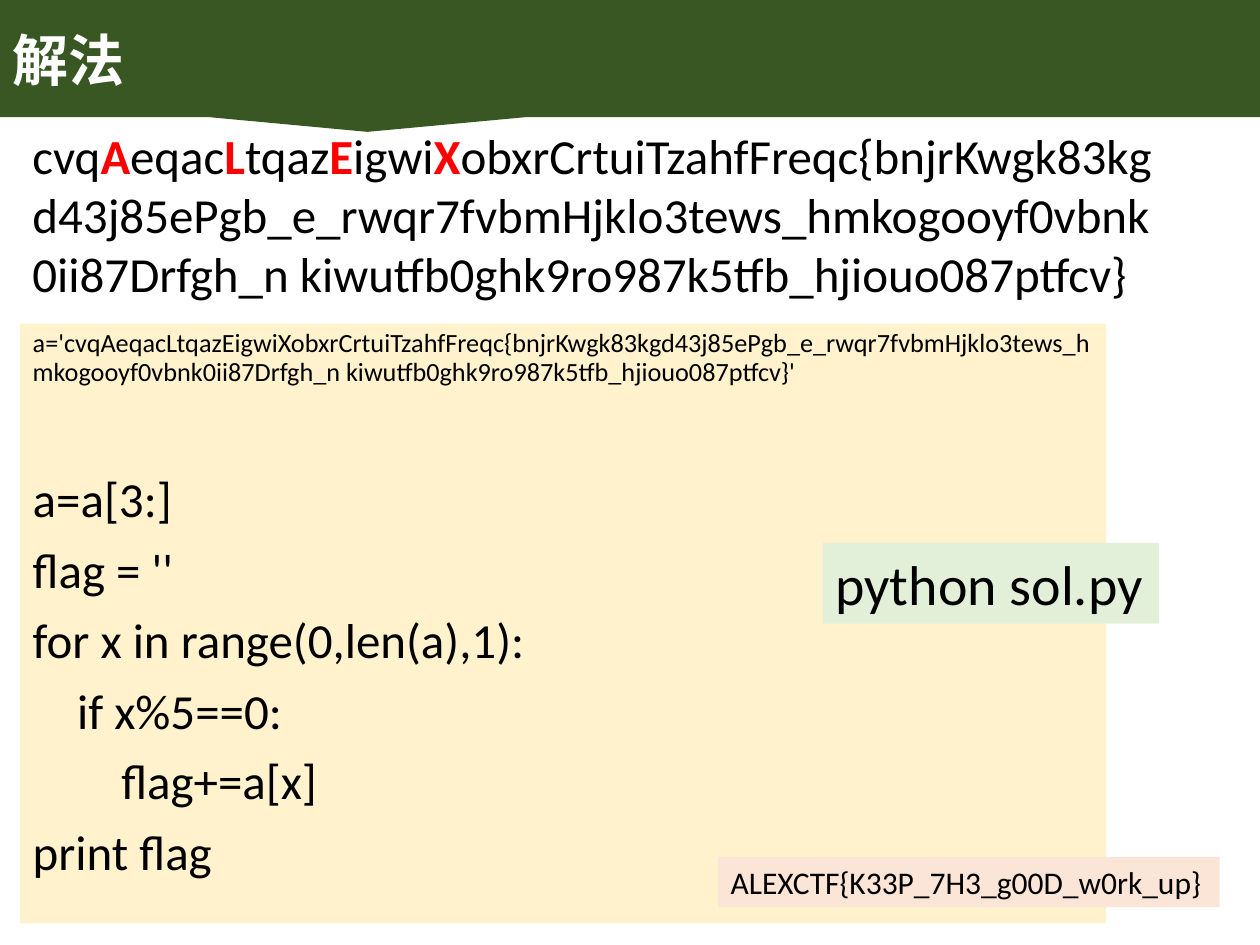
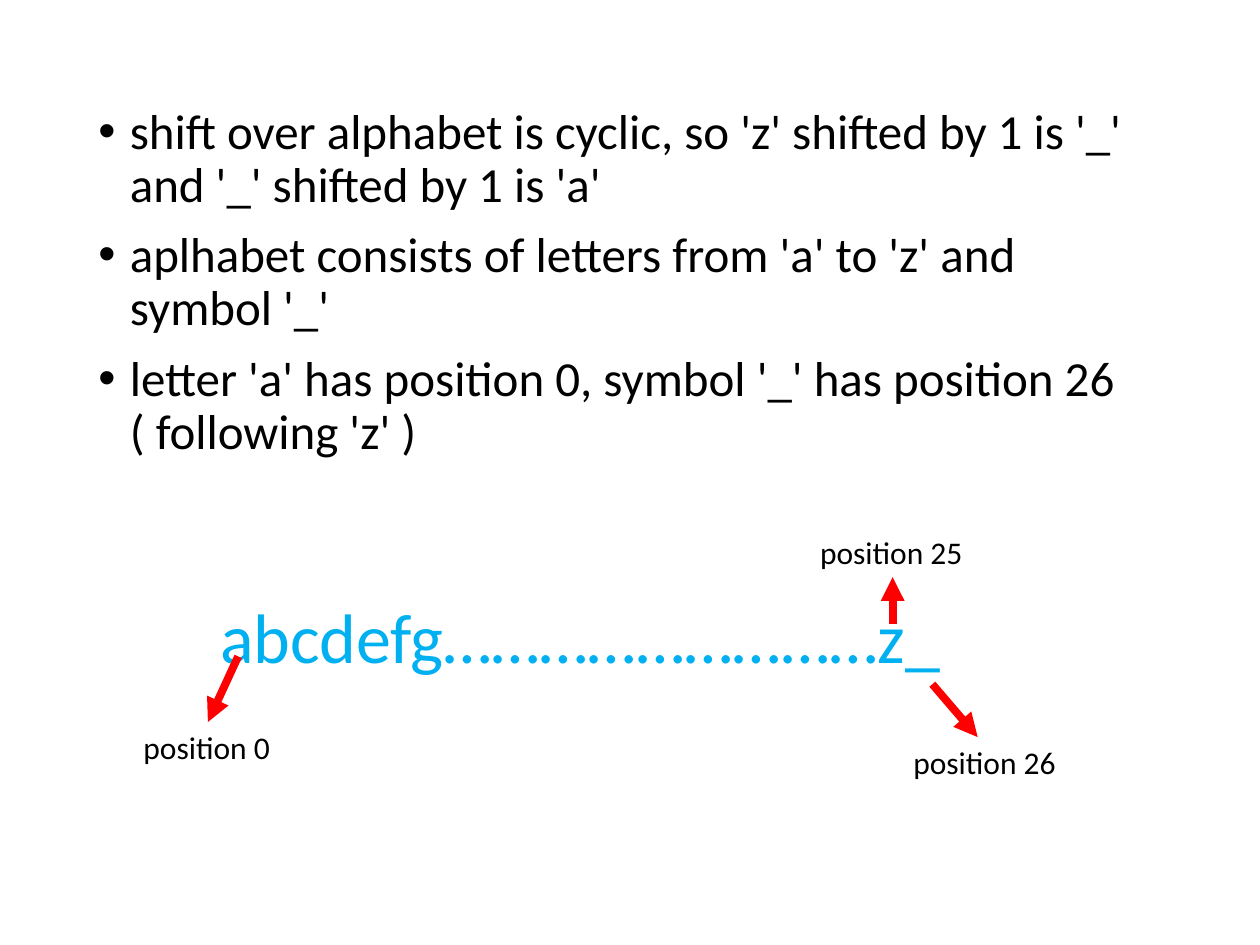
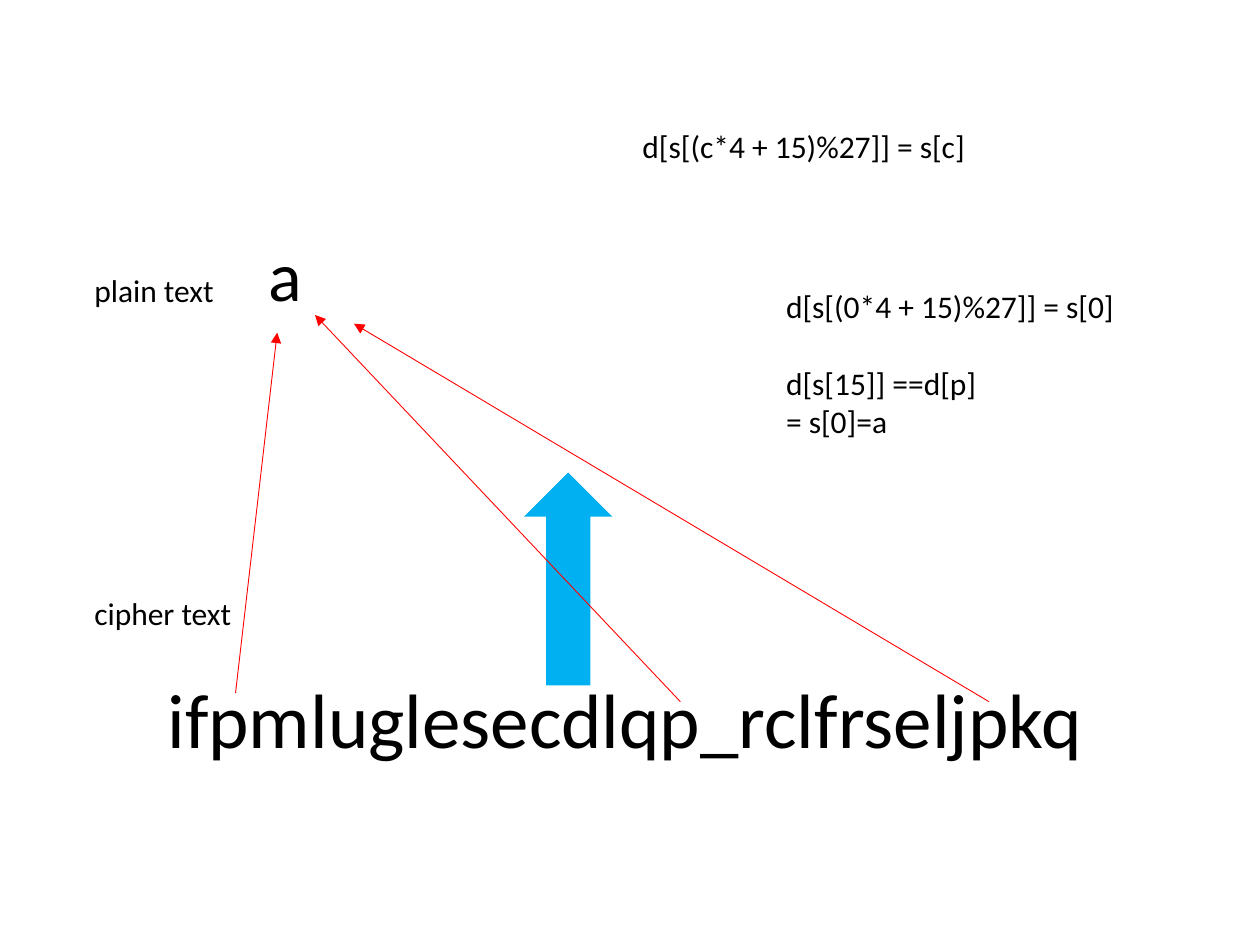
from pptx import Presentation
from pptx.dml.color import RGBColor
from pptx.enum.shapes import MSO_CONNECTOR, MSO_SHAPE
from pptx.enum.text import MSO_ANCHOR, MSO_AUTO_SIZE, PP_ALIGN
from pptx.oxml.ns import qn
from pptx.util import Pt
from lxml import etree

LINE = MSO_CONNECTOR.STRAIGHT
BAND, ARROW = MSO_SHAPE.RECTANGULAR_CALLOUT, MSO_SHAPE.DOWN_ARROW
MIDDLE, TOP, LEFT = MSO_ANCHOR.MIDDLE, MSO_ANCHOR.TOP, PP_ALIGN.LEFT
FIT, FIXED = MSO_AUTO_SIZE.SHAPE_TO_FIT_TEXT, MSO_AUTO_SIZE.NONE

FONT = "Calibri"
COLORS = {
    "text": "000000", "white": "FFFFFF", "red": "FF0000", "blue": "00B0F0",
    "band": "385723", "cream": "FFF2CC", "green": "E2F0D9", "peach": "FBE5D6",
}

# Slide 1: the solution
TITLE = "解法"
HEAD = [("cvq", "A"), ("eqac", "L"), ("tqaz", "E"), ("igwi", "X")]
REST = ("obxrCrtuiTzahfFreqc{bnjrKwgk83kgd43j85ePgb_e_rwqr7fvbmHjklo3tews_"
        "hmkogooyf0vbnk0ii87Drfgh_n kiwutfb0ghk9ro987k5tfb_hjiouo087ptfcv}")
SECRET = "".join(skip + key for skip, key in HEAD) + REST
# text, size, indent level, space before
CODE = [
    (f"a='{SECRET}'", 15, 0, 10),
    ("a=a[3:]", 28, 0, 50.75),
    ("flag = ''", 28, 0, 10),
    ("for x in range(0,len(a),1):", 28, 0, 10),
    ("if x%5==0:", 28, 1, 10),
    ("flag+=a[x]", 28, 2, 10),
    ("print flag", 28, 0, 10),
]
TAB = 25.3
BAND_AT = (0, 0, 720, 67)
CODE_AT = (11.5, 185, 620.6, 342.7)
SECRET_AT = (11.5, 68.4, 658.1, 108.7)
# lines, place, size, text colour, fill
RESULTS = [
    (["python sol.py"], (470.2, 310.3, 192.2, 46.1), 32, "text", "green"),
    (["ALEXCTF{K33P_7H3_g00D_w0rk_up}"], (410.4, 489.6, 286.6, 28.8), 18,
     "text", "peach"),
]

# Slide 2: the alphabet
RULES = [
    "shift over alphabet is cyclic, so 'z' shifted by 1 is '_' and '_' shifted by 1 is 'a'",
    "aplhabet consists of letters from 'a' to 'z' and symbol '_'",
    "letter 'a' has position 0, symbol '_' has position 26 ( following 'z' )",
]
RULES_AT = (49, 57.6, 620.6, 216)
LETTERS = [
    (["abcdefg………………………z_"], (118.8, 335.5, 430.6, 55.4), 40, "blue", None),
    (["position 0"], (74.9, 412.6, 87.8, 28.8), 18, "text", None),
    (["position 25"], (461.5, 301, 97.2, 28.8), 18, "text", None),
    (["position 26"], (514.8, 421.2, 97.2, 28.8), 18, "text", None),
]
# start, end, joined label and its side
POINTERS = [
    ((136.1, 375.1), (118.8, 412.6), (1, 0)),
    ((510.1, 356.4), (510.1, 329.8), (2, 2)),
    ((532.8, 391), (558.7, 421.2), None),
]

# Slide 3: decoding one letter
CIPHER = [
    (["ifpmluglesecdlqp_rclfrseljpkq"], (88.6, 380.2, 542.9, 60.5), 44, "text", None),
    (["cipher text"], (46.8, 336.2, 97.9, 28.8), 18, "text", None),
    (["plain text"], (46.8, 151.2, 87.8, 28.8), 18, "text", None),
    (["a"], (146.2, 128.9, 33.8, 55.4), 40, "text", None),
    (["d[s[(c*4 + 15)%27]] = s[c]"], (360, 69.1, 200.9, 28.8), 18, "text", None),
    (["d[s[(0*4 + 15)%27]] = s[0]"], (442.1, 160.6, 204.5, 28.8), 18, "text", None),
    (["d[s[15]] ==d[p]", "= s[0]=a"], (442.1, 204.5, 124.6, 51.1), 18, "text", None),
]
ARROW_AT = (299.5, 270, 50.4, 121.7)
LINKS = [
    ((134.6, 396), (158.4, 190.1), None),
    ((388.8, 401), (180, 180), None),
    ((565.2, 401), (202.3, 185), None),
]


def rgb(name):
    return RGBColor.from_string(COLORS[name])


def points(values):
    return [Pt(v) for v in values]


def paint(shape, name):
    shape.fill.solid()
    shape.fill.fore_color.rgb = rgb(name)


def put_run(para, text, size, color="text", bold=False):
    run = para.add_run()
    run.text = text
    run.font.name, run.font.size, run.font.bold = FONT, Pt(size), bold
    run.font.color.rgb = rgb(color)


def next_para(frame, num):
    return frame.add_paragraph() if num else frame.paragraphs[0]


def place(holder, at, anchor):
    holder.left, holder.top, holder.width, holder.height = points(at)
    frame = holder.text_frame
    frame.word_wrap, frame.auto_size = True, FIXED
    frame.vertical_anchor = anchor
    return frame


def list_para(frame, num, left, hang, before):
    para = next_para(frame, num)
    para.line_spacing, para.space_before = 0.9, Pt(before)
    props = para._p.get_or_add_pPr()
    props.set("marL", str(Pt(left)))
    props.set("indent", str(-Pt(hang)))
    if hang:
        etree.SubElement(props, qn("a:buChar")).set("char", "•")
    else:
        etree.SubElement(props, qn("a:buNone"))
    return para


def add_text(slide, lines, at, size, color, fill):
    box = slide.shapes.add_textbox(*points(at))
    frame = box.text_frame
    frame.word_wrap, frame.auto_size = False, FIT
    if fill:
        paint(box, fill)
    for num, line in enumerate(lines):
        put_run(next_para(frame, num), line, size, color)
    return box


def add_shape(slide, kind, at, fill):
    shape = slide.shapes.add_shape(kind, *points(at))
    shape.shadow.inherit = False
    paint(shape, fill)
    shape.line.fill.background()
    return shape


def add_arrows(slide, arrows, width, boxes):
    for start, end, joint in arrows:
        line = slide.shapes.add_connector(LINE, *points(start + end))
        if joint:
            label, side = joint
            line.end_connect(boxes[label], side)
        line.line.color.rgb = rgb("red")
        line.line.width = Pt(width)
        etree.SubElement(line.line._get_or_add_ln(), qn("a:tailEnd")).set("type", "triangle")
        etree.SubElement(line._element.spPr, qn("a:effectLst"))


def add_title(slide, text):
    add_shape(slide, BAND, BAND_AT, "band")
    title = slide.shapes.title
    slide.shapes._spTree.append(title._element)  # in front of the band
    para = place(title, BAND_AT, MIDDLE).paragraphs[0]
    para.alignment = LEFT
    put_run(para, text, 32, "white", True)


def solution(slide):
    body = slide.placeholders[1]
    paint(body, "cream")
    frame = place(body, CODE_AT, TOP)
    for num, (text, size, level, before) in enumerate(CODE):
        put_run(list_para(frame, num, level * TAB, 0, before), text, size)

    # Cipher string with the flag letters marked
    box = slide.shapes.add_textbox(*points(SECRET_AT))
    box.text_frame.word_wrap, box.text_frame.auto_size = True, FIT
    para = box.text_frame.paragraphs[0]
    for skip, key in HEAD:
        put_run(para, skip, 28)
        put_run(para, key, 28, "red", True)
    put_run(para, REST, 28)

    for item in RESULTS:
        add_text(slide, *item)
    add_title(slide, TITLE)


def alphabet(slide):
    title = slide.shapes.title._element
    title.getparent().remove(title)
    frame = place(slide.placeholders[1], RULES_AT, TOP)
    for num, rule in enumerate(RULES):
        put_run(list_para(frame, num, 18, 18, 10), rule, 28)
    boxes = [add_text(slide, *item) for item in LETTERS]
    add_arrows(slide, POINTERS, 4.5, boxes)


def decoding(slide):
    boxes = [add_text(slide, *item) for item in CIPHER]
    add_shape(slide, ARROW, ARROW_AT, "blue").rotation = 180
    add_arrows(slide, LINKS, 0.5, boxes)


def main():
    deck = Presentation()
    deck.slide_width, deck.slide_height = Pt(720), Pt(540)
    for build, layout in ((solution, 1), (alphabet, 1), (decoding, 6)):
        build(deck.slides.add_slide(deck.slide_layouts[layout]))
    deck.save("out.pptx")


if __name__ == "__main__":
    main()
